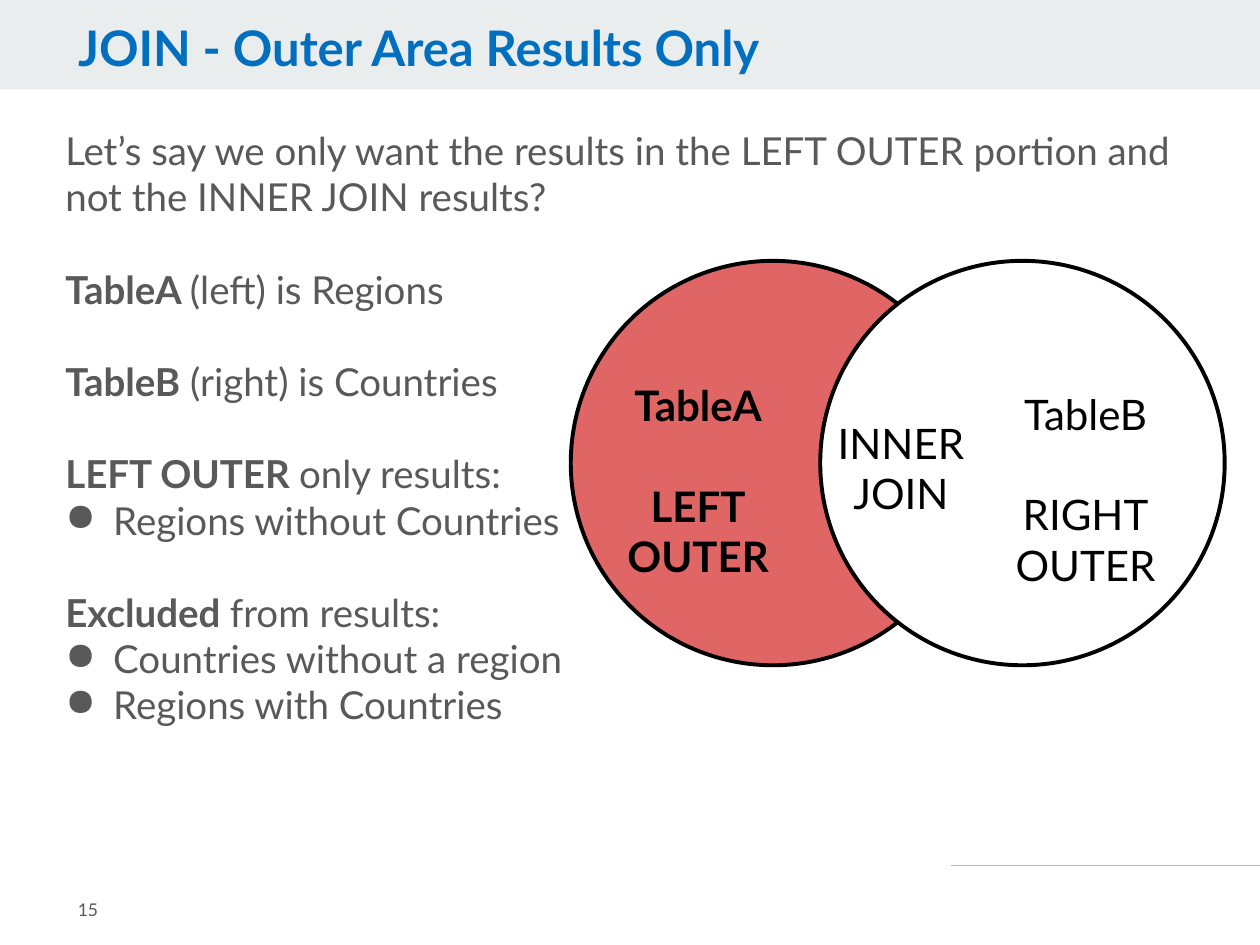
from pptx import Presentation
from pptx.dml.color import RGBColor
from pptx.enum.shapes import MSO_CONNECTOR, MSO_SHAPE
from pptx.enum.text import MSO_ANCHOR, PP_ALIGN
from pptx.util import Inches, Pt
from lxml import etree

RECT, OVAL = MSO_SHAPE.RECTANGLE, MSO_SHAPE.OVAL
LINE = MSO_CONNECTOR.STRAIGHT
TOP, MID = MSO_ANCHOR.TOP, MSO_ANCHOR.MIDDLE
LEFT, CENTER = PP_ALIGN.LEFT, PP_ALIGN.CENTER
HUE = {"title": "006FBF", "body": "595959", "band": "E9EDEE", "rule": "B7B7B7",
       "left": "E06666", "right": "FFFFFF", "ink": "000000"}
FONT = "Lato"
LEAD = 1.2  # line height per point of text


def tint(name):
    return RGBColor.from_string(HUE[name])


def write(shape, paras, size, color, align=LEFT, anchor=TOP, pad=0.1):
    """Each paragraph is (runs, blank lines before, bullet); a run is (text, bold)."""
    frame = shape.text_frame
    frame.word_wrap = True
    frame.vertical_anchor = anchor
    frame.margin_left = frame.margin_right = Inches(0.1)
    frame.margin_top = frame.margin_bottom = Inches(pad)
    for i, (runs, gap, dot) in enumerate(paras):
        para = frame.paragraphs[0] if i == 0 else frame.add_paragraph()
        para.alignment = align
        if gap:
            para.space_before = Pt(gap * size * LEAD)
        if dot:
            props = para._p.get_or_add_pPr()
            props.set("marL", str(Inches(0.38)))
            props.set("indent", str(-Inches(0.38)))
            ns = props.nsmap["a"]
            etree.SubElement(props, f"{{{ns}}}buChar", char="●")
        for text, bold in runs:
            for n, part in enumerate(text.split("\n")):
                if n:
                    para.add_line_break()
                run = para.add_run()
                run.text = part
                font = run.font
                font.name, font.size, font.bold = FONT, Pt(size), bold
                font.color.rgb = tint(color)


deck = Presentation()
deck.slide_width, deck.slide_height = Inches(10), Inches(7.5)
slide = deck.slides.add_slide(deck.slide_layouts[5])
shapes = slide.shapes

# Title on its band
title = shapes.title
title.left, title.top = Inches(0.52), Inches(0.14)
title.width, title.height = Inches(7.88), Inches(0.55)
write(title, [([("JOIN - Outer Area Results Only", True)], 0, False)],
      28, "title", pad=0.05)
title.text_frame.paragraphs[0].line_spacing = 0.9
band = shapes.add_shape(RECT, 0, 0, deck.slide_width, Inches(0.71))
band.shadow.inherit = False
band.fill.solid()
band.fill.fore_color.rgb = tint("band")
band.line.fill.background()
title.element.addprevious(band.element)

# Footer rule and page number
rule = shapes.add_connector(LINE, Inches(7.55), Inches(6.87),
                            deck.slide_width, Inches(6.87))
rule.line.color.rgb = tint("rule")
rule.line.width = Pt(0.75)
props = rule.element.spPr
etree.SubElement(props, f"{{{props.nsmap['a']}}}effectLst")
page = shapes.add_textbox(Inches(0.52), Inches(6.93), Inches(1.23), Inches(0.57))
write(page, [([("15", False)], 0, False)], 10, "body", anchor=MID)

# Body text
body = shapes.add_textbox(Inches(0.42), Inches(0.96), Inches(9.11), Inches(5.38))
write(body, [
    ([("Let’s say we only want the results in the LEFT OUTER portion and "
       "not the INNER JOIN results?", False)], 0, False),
    ([("TableA ", True), ("(left) is Regions", False)], 1, False),
    ([("TableB", True), (" (right) is Countries", False)], 1, False),
    ([("LEFT OUTER ", True), ("only results:", False)], 1, False),
    ([("Regions without Countries", False)], 0, True),
    ([("Excluded ", True), ("from results:", False)], 1, False),
    ([("Countries without a region", False)], 0, True),
    ([("Regions with Countries", False)], 0, True),
], 22, "body", pad=0.05)

# Venn circles, the right one over the left
SIZE, STEP = 3.21, 1.98
for i, side in enumerate(("left", "right")):
    disc = shapes.add_shape(OVAL, Inches(4.53 + i * STEP), Inches(2.07),
                            Inches(SIZE), Inches(SIZE))
    disc.shadow.inherit = False
    disc.fill.solid()
    disc.fill.fore_color.rgb = tint(side)
    disc.line.color.rgb = tint("ink")
    disc.line.width = Pt(2.25)

# Venn labels: left, top, width, height, bold, lines
for x, y, w, h, bold, lines in (
        (4.75, 2.91, 1.58, 1.1, True, ("TableA", "LEFT\nOUTER")),
        (7.79, 2.98, 1.65, 1.1, False, ("TableB", "RIGHT\nOUTER")),
        (6.27, 3.21, 1.76, 0.93, False, ("INNER JOIN",))):
    label = shapes.add_textbox(Inches(x), Inches(y), Inches(w), Inches(h))
    write(label, [([(text, bold)], i, False) for i, text in enumerate(lines)],
          24, "ink", CENTER)

deck.save("out.pptx")
